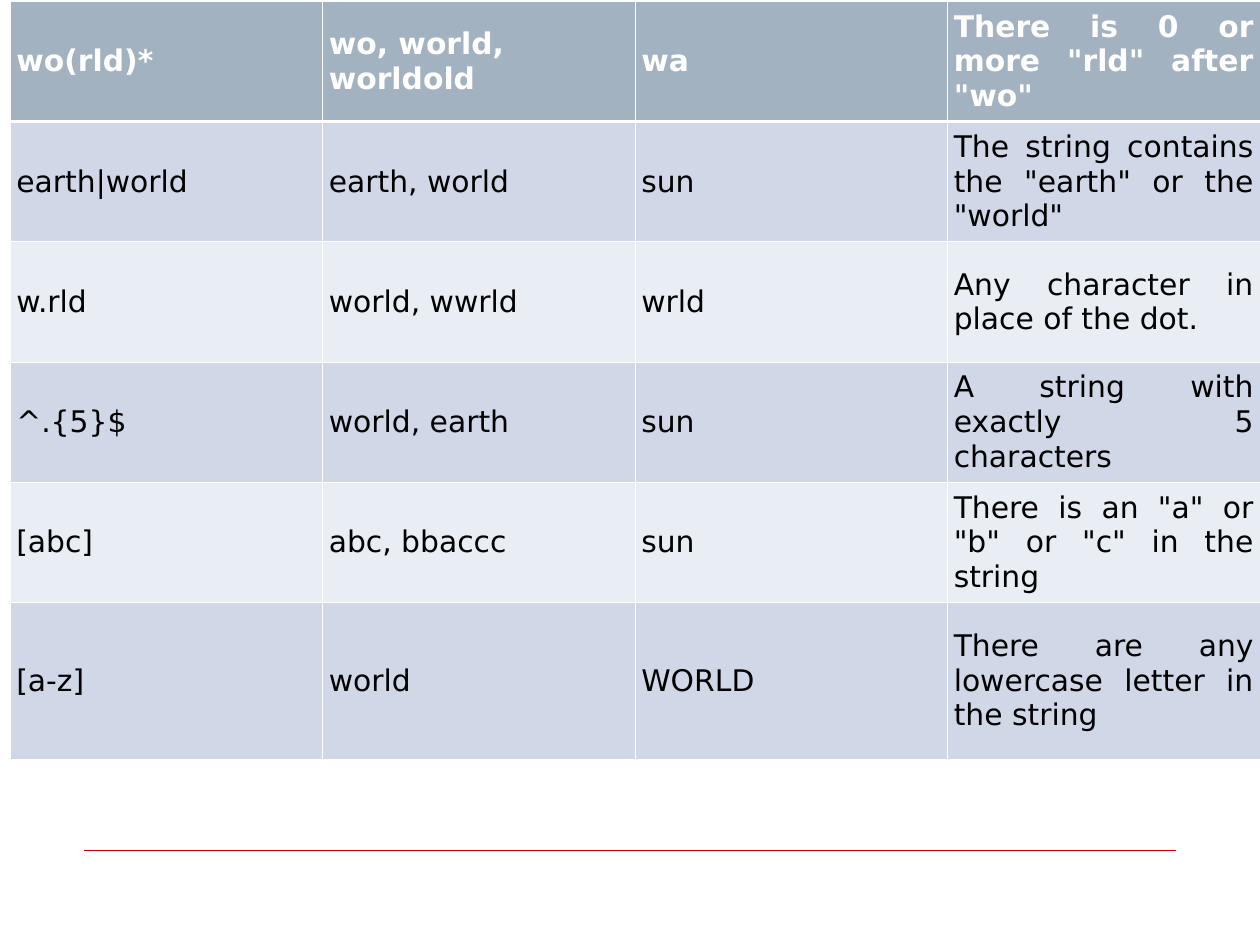
from lxml import etree
from pptx import Presentation
from pptx.dml.color import RGBColor
from pptx.enum.shapes import MSO_CONNECTOR
from pptx.enum.text import MSO_ANCHOR, PP_ALIGN
from pptx.oxml.ns import qn
from pptx.util import Inches, Pt

LEFT, JUSTIFY = PP_ALIGN.LEFT, PP_ALIGN.JUSTIFY
MIDDLE = MSO_ANCHOR.MIDDLE
STRAIGHT = MSO_CONNECTOR.STRAIGHT

WHITE = RGBColor(0xFF, 0xFF, 0xFF)
BLACK = RGBColor(0x00, 0x00, 0x00)
RED = RGBColor(0xCC, 0x00, 0x00)
HEADER_FILL = RGBColor(0xA3, 0xB2, 0xC1)
BAND_FILLS = (RGBColor(0xD0, 0xD8, 0xE8), RGBColor(0xE9, 0xED, 0xF4))

SLIDE_WIDTH, SLIDE_HEIGHT = Inches(10), Inches(7.5)
TABLE_LEFT, TABLE_TOP = Inches(0.08), Inches(0.01)
ROW_HEIGHT, LAST_ROW_HEIGHT = Inches(0.955), Inches(1.24)
CELL_MARGIN = Inches(0.05)
THIN, THICK = Pt(0.45), Pt(1.47)

PATTERNS = [
    ("wo(rld)*", "wo, world, worldold", "wa", 'There is 0 or more "rld" after "wo"'),
    ("earth|world", "earth, world", "sun", 'The string contains the "earth" or the "world"'),
    ("w.rld", "world, wwrld", "wrld", "Any character in place of the dot."),
    ("^.{5}$", "world, earth", "sun", "A string with exactly 5 characters"),
    ("[abc]", "abc, bbaccc", "sun", 'There is an "a" or "b" or "c" in the string'),
    ("[a-z]", "world", "WORLD", "There are any lowercase letter in the string"),
]


def write_text(frame, text, size=17, font="DejaVu Sans", color=BLACK, bold=False, align=LEFT):
    para = frame.paragraphs[0]
    para.alignment = align
    span = para.add_run()
    span.text = text
    span.font.size = Pt(size)
    span.font.name = font
    span.font.color.rgb = color
    span.font.bold = bold


def set_borders(cell, **widths):
    """Draw white borders; widths are keyed by side: L, R, T, B."""
    properties = cell._tc.get_or_add_tcPr()
    for side in "LRTB":
        line = etree.SubElement(properties, qn(f"a:ln{side}"), w=str(widths.get(side, THIN)))
        fill = etree.SubElement(line, qn("a:solidFill"))
        etree.SubElement(fill, qn("a:srgbClr"), val=str(WHITE))


def format_cell(cell, fill, **border_widths):
    cell.vertical_anchor = MIDDLE
    cell.margin_left = cell.margin_right = CELL_MARGIN
    cell.margin_top = cell.margin_bottom = CELL_MARGIN
    set_borders(cell, **border_widths)
    cell.fill.solid()
    cell.fill.fore_color.rgb = fill


def add_pattern_table(page):
    row_count, column_count = len(PATTERNS), len(PATTERNS[0])
    height = ROW_HEIGHT * (row_count - 1) + LAST_ROW_HEIGHT
    table = page.shapes.add_table(row_count, column_count, TABLE_LEFT, TABLE_TOP,
                                  SLIDE_WIDTH - TABLE_LEFT, height).table
    for row in table.rows:
        row.height = ROW_HEIGHT
    table.rows[row_count - 1].height = LAST_ROW_HEIGHT

    for row_index, texts in enumerate(PATTERNS):
        header = row_index == 0
        fill = HEADER_FILL if header else BAND_FILLS[(row_index - 1) % 2]
        borders = {0: {"B": THICK}, 1: {"T": THICK}}.get(row_index, {})
        for column_index, text in enumerate(texts):
            cell = table.cell(row_index, column_index)
            format_cell(cell, fill, **borders)
            write_text(cell.text_frame, text, bold=header,
                       color=WHITE if header else BLACK,
                       align=JUSTIFY if column_index == column_count - 1 else LEFT)


def add_footer_rule(page):
    margin, top = round(SLIDE_WIDTH / 15), round(SLIDE_HEIGHT * 0.9)
    rule = page.shapes.add_connector(STRAIGHT, margin, top, SLIDE_WIDTH - margin, top)
    rule.line.color.rgb = RED
    rule.line.width = Pt(0.25)
    etree.SubElement(rule._element.spPr, qn("a:effectLst"))


def main():
    deck = Presentation()
    deck.slide_width, deck.slide_height = SLIDE_WIDTH, SLIDE_HEIGHT
    blank_layout = deck.slide_layouts[6]
    page = deck.slides.add_slide(blank_layout)
    add_footer_rule(page)
    add_pattern_table(page)
    deck.save("out.pptx")


if __name__ == "__main__":
    main()
